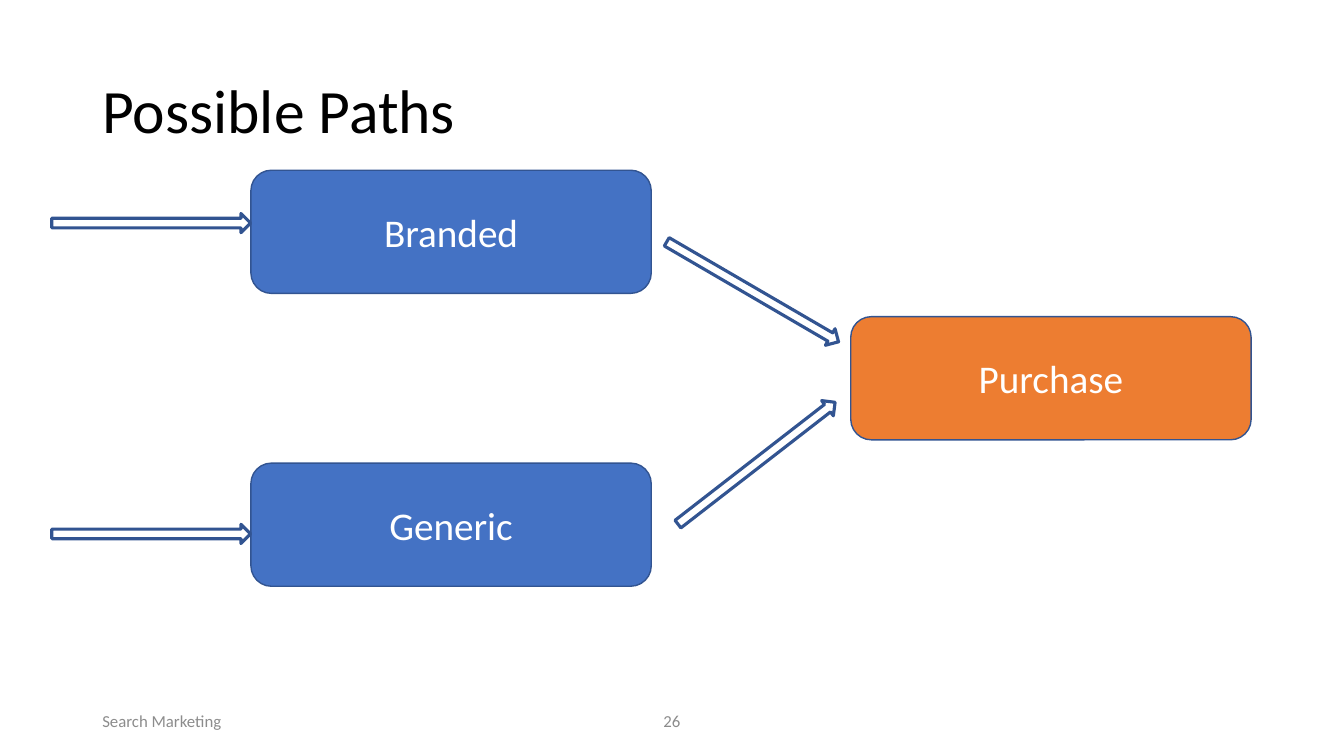
from pptx import Presentation
from pptx.dml.color import RGBColor
from pptx.enum.shapes import MSO_SHAPE
from pptx.enum.text import MSO_ANCHOR, PP_ALIGN
from pptx.util import Pt

COLORS = {
    "black": "000000",
    "white": "FFFFFF",
    "grey": "8C8C8C",
    "blue": "4472C4",
    "orange": "ED7D31",
    "outline": "325491",
}


def write(sp, text, size, color, align):
    tf = sp.text_frame
    tf.word_wrap = True
    tf.vertical_anchor = MSO_ANCHOR.MIDDLE
    p = tf.paragraphs[0]
    p.alignment = align
    r = p.add_run()
    r.text = text
    r.font.name = "Calibri"
    r.font.size = Pt(size)
    r.font.color.rgb = RGBColor.from_string(COLORS[color])
    return p


def add_outlined(kind, x, y, w, h, weight):
    sp = s.shapes.add_shape(kind, Pt(x), Pt(y), Pt(w), Pt(h))
    sp.shadow.inherit = False
    sp.line.color.rgb = RGBColor.from_string(COLORS["outline"])
    sp.line.width = Pt(weight)
    return sp


prs = Presentation()
prs.slide_width = Pt(960)
prs.slide_height = Pt(540)
s = prs.slides.add_slide(prs.slide_layouts[6])

title = s.shapes.add_textbox(Pt(66), Pt(28.8), Pt(828), Pt(104.4))
p = write(title, "Possible Paths", 44, "black", PP_ALIGN.LEFT)
p.line_spacing = 0.9

for text, x, w, align in [
    ("Search Marketing", 66, 216, PP_ALIGN.LEFT),
    ("26", 318, 324, PP_ALIGN.CENTER),
]:
    footer = s.shapes.add_textbox(Pt(x), Pt(500.5), Pt(w), Pt(28.75))
    write(footer, text, 12, "grey", align)

for text, x, y, fill in [
    ("Branded", 179.2, 121.6, "blue"),
    ("Purchase", 607.7, 226.2, "orange"),
    ("Generic", 179.2, 330.8, "blue"),
]:
    box = add_outlined(MSO_SHAPE.ROUNDED_RECTANGLE, x, y, 286, 88, 1)
    box.fill.solid()
    box.fill.fore_color.rgb = RGBColor.from_string(COLORS[fill])
    write(box, text, 28, "white", PP_ALIGN.CENTER)

for x, y, angle in [
    (37, 152.5, 0),
    (37, 374.5, 0),
    (466.6, 201.6, 30.2),
    (469.4, 324, 322.2),
]:
    arrow = add_outlined(MSO_SHAPE.RIGHT_ARROW, x, y, 142, 13.7, 2.25)
    arrow.fill.background()
    arrow.rotation = angle

prs.save("out.pptx")
